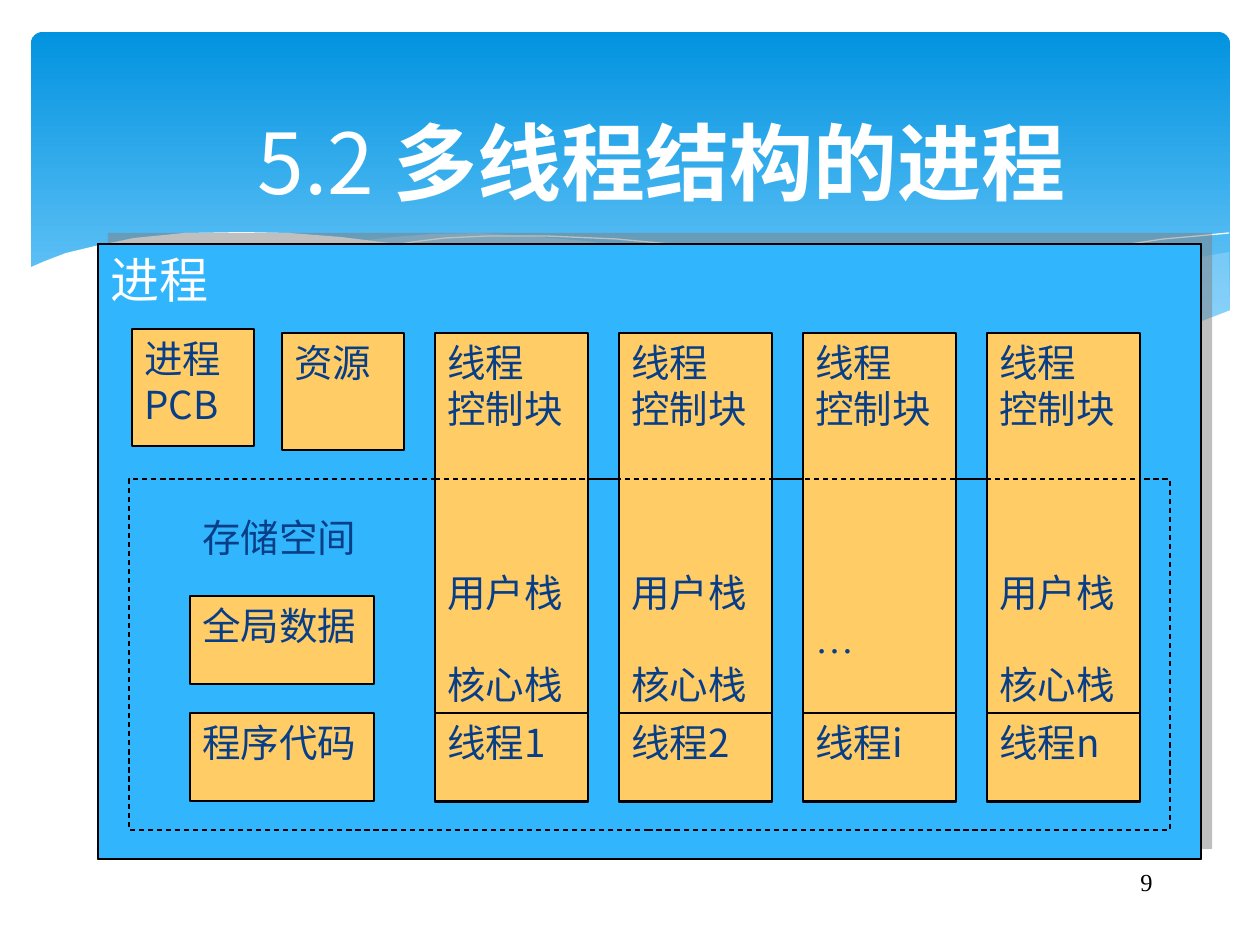
from dataclasses import dataclass

from lxml.etree import SubElement
from pptx import Presentation
from pptx.dml.color import RGBColor
from pptx.enum.dml import MSO_LINE
from pptx.enum.shapes import MSO_CONNECTOR, MSO_SHAPE
from pptx.enum.text import MSO_ANCHOR, PP_ALIGN
from pptx.oxml.ns import qn
from pptx.util import Pt

PX = 914400 / 126
SANS, SERIF = "Noto Sans CJK JP", "Times New Roman"
LINE_PITCH = 26.3
COLORS = {
    "white": "FFFFFF", "black": "000000", "panel": "31B6FD", "box": "FFCC66",
    "ink": "073E87", "sky_top": "0293E0", "sky_bottom": "83D3FE",
    "wave": "C6E7FC", "shadow": "808080",
}


@dataclass
class Line:
    """One text line and the number of empty line heights above it."""
    text: str
    gap: int = 0
    font: str = SANS


@dataclass
class Box:
    """A rectangle in px with its look and its text lines."""
    left: int
    top: int
    width: int
    height: int
    lines: tuple[Line, ...] = ()
    fill: str = "box"
    outline: float = 0.75
    dashed: bool = False
    size: int = 22
    ink: str = "ink"


@dataclass
class Wave:
    """A curve of the header, filled when it has an opacity in percent."""
    points: tuple[tuple[int, int], ...]
    fill: str = ""
    opacity: int = 100


@dataclass
class Thread:
    """The label of a thread and the lines of its stack area."""
    label: str
    stacks: tuple[Line, ...]


STACKS = (Line("用户栈", 3), Line("核心栈", 1))
THREADS = (
    Thread("线程1", STACKS),
    Thread("线程2", STACKS),
    Thread("线程i", (Line("…", 4, SERIF),)),
    Thread("线程n", STACKS),
)
THREAD_LEFT, THREAD_PITCH, THREAD_WIDTH = 435, 184, 153

WAVES = (
    Wave(((1229, 252), (1178, 261), (1123, 272), (1048, 290), (982, 305), (919, 319),
          (833, 334), (888, 341), (939, 347), (998, 349), (1052, 349), (1099, 345),
          (1140, 339), (1178, 330), (1213, 318), (1230, 311)), "wave", 29),
    Wave(((1125, 344), (1055, 334), (977, 320), (890, 302), (793, 280), (736, 266),
          (682, 256), (631, 247), (585, 241), (529, 236), (479, 233), (433, 234),
          (394, 237), (360, 241), (431, 251), (509, 266), (566, 280), (668, 302),
          (757, 321), (838, 335), (910, 345), (974, 350), (1031, 352), (1080, 349)),
         "wave", 40),
    Wave(((389, 246), (413, 242), (445, 238), (488, 236), (546, 236), (616, 239),
          (670, 244), (733, 252), (801, 262), (876, 276), (958, 294), (1047, 316),
          (1143, 343))),
    Wave(((772, 324), (847, 304), (907, 289), (978, 272), (1053, 257), (1110, 247),
          (1164, 239), (1198, 236), (1229, 233))),
    Wave(((1231, 310), (1197, 323), (1159, 334), (1118, 341), (1071, 347), (1019, 349),
          (959, 347), (892, 340), (815, 330), (730, 315), (634, 294), (527, 268),
          (460, 255), (397, 244), (341, 237), (290, 233), (243, 232), (184, 233),
          (134, 238), (95, 246), (66, 253), (45, 261), (29, 268), (29, 415),
          (1231, 415)), "white"),
)

PANEL = (98, 244, 1103, 615)
PROCESS_BOXES = (
    Box(*PANEL, (Line("进程"),), "panel", 1.5, size=28, ink="white"),
    Box(132, 329, 122, 117, (Line("进程PCB"),)),
    Box(282, 333, 122, 117, (Line("资源"),)),
    Box(129, 479, 1041, 351, fill="panel", dashed=True),
    Box(190, 508, 184, 88, (Line("存储空间"),), "panel", 0),
    Box(190, 596, 184, 88, (Line("全局数据"),)),
    Box(190, 713, 184, 88, (Line("程序代码"),)),
)


def emu(*lengths: int) -> list[int]:
    return [round(length * PX) for length in lengths]


def rgb(name: str) -> RGBColor:
    return RGBColor.from_string(COLORS[name])


def style_font(font, size: int, color: str, name: str) -> None:
    font.size, font.name = Pt(size), name
    font.color.rgb = rgb(color)


def draw_header(shapes) -> None:
    sky = shapes.add_shape(MSO_SHAPE.ROUNDED_RECTANGLE, *emu(31, 32, 1199, 340))
    sky.adjustments[0] = 0.034
    sky.shadow.inherit = False
    sky.line.fill.background()
    sky.fill.gradient()
    sky.fill.gradient_angle = 270
    for stop, color in zip(sky.fill.gradient_stops, ("sky_top", "sky_bottom")):
        stop.color.rgb = rgb(color)


def draw_wave(shapes, wave: Wave) -> None:
    builder = shapes.build_freeform(*wave.points[0], scale=PX)
    builder.add_line_segments(wave.points[1:], close=bool(wave.fill))
    curve = builder.convert_to_shape()
    curve.shadow.inherit = False
    if not wave.fill:
        curve.fill.background()
        curve.line.color.rgb = rgb("white")
        curve.line.width = 0
        return
    curve.line.fill.background()
    curve.fill.solid()
    curve.fill.fore_color.rgb = rgb(wave.fill)
    if wave.opacity < 100:
        color = curve._element.spPr.find(".//" + qn("a:srgbClr"))
        SubElement(color, qn("a:alpha"), val=str(wave.opacity * 1000))


def draw_box(shapes, box: Box):
    rectangle = shapes.add_shape(
        MSO_SHAPE.RECTANGLE, *emu(box.left, box.top, box.width, box.height))
    rectangle.shadow.inherit = False
    rectangle.fill.solid()
    rectangle.fill.fore_color.rgb = rgb(box.fill)
    if box.outline:
        rectangle.line.color.rgb = rgb("black")
        rectangle.line.width = Pt(box.outline)
    else:
        rectangle.line.fill.background()
    if box.dashed:
        rectangle.line.dash_style = MSO_LINE.DASH
    frame = rectangle.text_frame
    frame.word_wrap, frame.vertical_anchor = True, MSO_ANCHOR.TOP
    for index, line in enumerate(box.lines):
        paragraph = frame.add_paragraph() if index else frame.paragraphs[0]
        paragraph.text, paragraph.alignment = line.text, PP_ALIGN.LEFT
        paragraph.line_spacing = Pt(LINE_PITCH * box.size / 22)
        paragraph.space_before = Pt(line.gap * LINE_PITCH)
        style_font(paragraph.font, box.size, box.ink, line.font)
    return rectangle


def cast_shadow(rectangle) -> None:
    effects = rectangle._element.spPr.find(qn("a:effectLst"))
    shadow = SubElement(effects, qn("a:outerShdw"), dist=str(Pt(8.5)),
                        dir="18900000", algn="ctr", rotWithShape="0")
    color = SubElement(shadow, qn("a:srgbClr"), val=COLORS["shadow"])
    SubElement(color, qn("a:alpha"), val="50000")


def draw_rule(shapes, left: int, right: int, y: int, width: float, dashed: bool) -> None:
    rule = shapes.add_connector(MSO_CONNECTOR.STRAIGHT, *emu(left, y, right, y))
    rule.line.color.rgb = rgb("black")
    rule.line.width = Pt(width)
    if dashed:
        rule.line.dash_style = MSO_LINE.DASH
    SubElement(rule._element.spPr, qn("a:effectLst"))


def add_text(shapes, place: tuple[int, ...], alignment: PP_ALIGN):
    frame = shapes.add_textbox(*emu(*place)).text_frame
    frame.word_wrap = True
    frame.paragraphs[0].alignment = alignment
    return frame


def main() -> None:
    """Build the slide on a process with several threads."""
    deck = Presentation()
    deck.slide_width, deck.slide_height = emu(1260, 945)
    shapes = deck.slides.add_slide(deck.slide_layouts[6]).shapes

    draw_header(shapes)
    for wave in WAVES:
        draw_wave(shapes, wave)

    title = add_text(shapes, (63, 105, 1197, 112), PP_ALIGN.CENTER)
    title.vertical_anchor = MSO_ANCHOR.MIDDLE
    for text, font, bold in (("5.2 ", SANS, False), ("多线程结构的进程", "Calibri", True)):
        run = title.paragraphs[0].add_run()
        run.text, run.font.bold = text, bold
        style_font(run.font, 48, "white", font)

    cast_shadow(draw_box(shapes, Box(*PANEL, fill="panel")))
    for box in PROCESS_BOXES:
        draw_box(shapes, box)
    draw_rule(shapes, THREAD_LEFT, 1109, PANEL[1], 1.5, False)

    for column, thread in enumerate(THREADS):
        left = THREAD_LEFT + column * THREAD_PITCH
        lines = (Line("线程"), Line("控制块"), *thread.stacks)
        draw_box(shapes, Box(left, 333, THREAD_WIDTH, 469, lines, outline=1.5))
        draw_box(shapes, Box(left, 713, THREAD_WIDTH, 88, (Line(thread.label),)))
    draw_rule(shapes, THREAD_LEFT, 1139, 479, 0.75, True)

    number = add_text(shapes, (903, 861, 262, 63), PP_ALIGN.RIGHT).paragraphs[0]
    number.text = "9"
    style_font(number.font, 14, "black", SERIF)
    deck.save("out.pptx")


if __name__ == "__main__":
    main()
